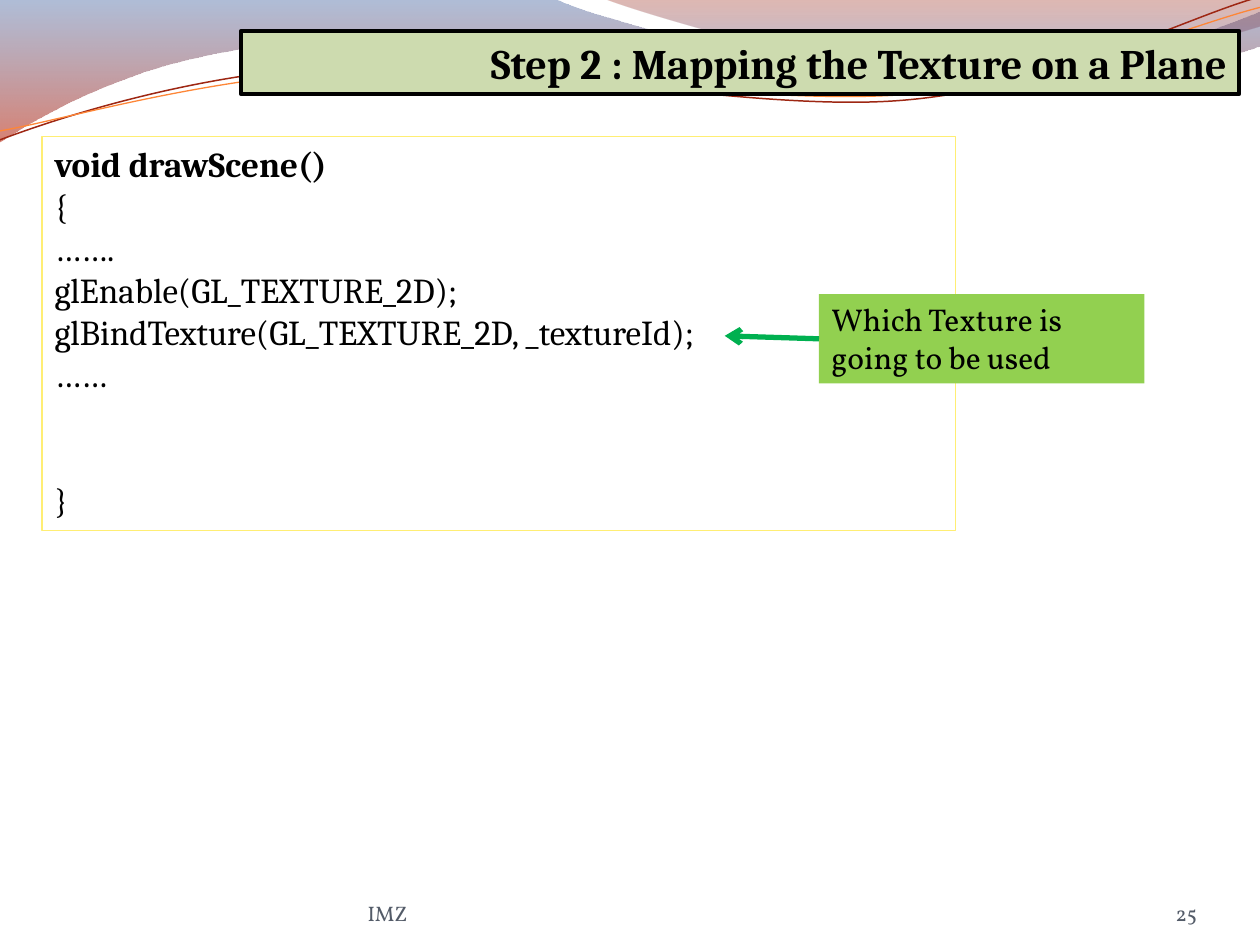
"""Build the slide on mapping a texture onto a plane."""
from dataclasses import dataclass
from typing import Optional

from lxml.etree import SubElement
from pptx import Presentation
from pptx.dml.color import RGBColor
from pptx.enum.shapes import MSO_CONNECTOR, MSO_SHAPE
from pptx.enum.text import MSO_ANCHOR, MSO_AUTO_SIZE, PP_ALIGN
from pptx.oxml.ns import qn
from pptx.util import Cm, Pt

BLACK = RGBColor(0x00, 0x00, 0x00)
SLATE = RGBColor(0x53, 0x5B, 0x68)
SAGE = RGBColor(0xCD, 0xDB, 0xAF)
YELLOW = RGBColor(0xFF, 0xEE, 0x74)
LIME = RGBColor(0x92, 0xD0, 0x50)
GREEN = RGBColor(0x00, 0xB0, 0x50)
NAVY = RGBColor(0x4F, 0x6E, 0xA8)
BLUE = RGBColor(0x56, 0x81, 0xD1)
RED = RGBColor(0xB6, 0x1A, 0x00)
MAROON = RGBColor(0x95, 0x15, 0x00)
RUST = RGBColor(0x9E, 0x27, 0x13)
ORANGE = RGBColor(0xFE, 0x86, 0x37)

HEADING_FONT = "Cambria"
BODY_FONT = "Vollkorn"


@dataclass(frozen=True)
class GradientStop:
    position: float
    color: RGBColor
    opacity: int


@dataclass(frozen=True)
class Wave:
    """A start point, then steps of one point (straight) or three (curve)."""
    start: tuple
    steps: tuple
    gradient: tuple = ()
    stroke: Optional[RGBColor] = None
    stroke_width: float = 0


@dataclass(frozen=True)
class Panel:
    left: float
    top: float
    width: float
    height: float
    lines: tuple
    font: str
    size: int
    fill: Optional[RGBColor] = None
    border: Optional[RGBColor] = None
    border_width: float = 0


@dataclass(frozen=True)
class FooterItem:
    left: float
    width: float
    text: str
    align: PP_ALIGN


WAVES = (
    Wave((0, 0), (
        ((11.18, -0.03),),
        ((12.09, 0.43), (16.87, 1.6), (19.25, 1.6)),
        ((21.67, 1.6), (24.33, 0.66), (25.4, 0.23)),
        ((25.43, 0.91),),
        ((24.97, 1.12), (22.1, 1.93), (18.95, 1.91)),
        ((15.8, 1.91), (9.7, 0.71), (6.53, 0.86)),
        ((3.28, 0.91), (1.17, 2.11), (-0.03, 2.87)),
    ), gradient=(GradientStop(0, NAVY, 45), GradientStop(1, RED, 55))),
    Wave((12.17, -0.03), (
        ((12.93, 0.28), (17.32, 1.57), (19.53, 1.65)),
        ((21.74, 1.75), (24.41, 0.81), (25.4, 0.53)),
        ((25.4, 0),),
    ), gradient=(GradientStop(0, MAROON, 30), GradientStop(0.8, BLUE, 45))),
    Wave((0, 2.82), (
        ((1.22, 2.36), (4.01, 1.45), (7.04, 1.32)),
        ((10.03, 1.19), (15.06, 2.26), (18.11, 2.03)),
        ((21.16, 1.8), (23.83, 0.38), (25.35, -0.05)),
    ), stroke=RUST, stroke_width=0.85),
    Wave((0, 2.64), (
        ((1.19, 2.44), (4.17, 1.55), (7.19, 1.42)),
        ((10.24, 1.3), (15.16, 2.13), (18.21, 1.91)),
        ((21.23, 1.7), (23.9, 0.53), (25.4, 0.15)),
    ), stroke=ORANGE, stroke_width=0.75),
)

TITLE = Panel(4.86, 0.62, 20.12, 1.28, ("Step 2 : Mapping the Texture on a Plane",),
              HEADING_FONT, 24, SAGE, BLACK, 2.25)
CODE = Panel(0.85, 2.75, 18.42, 7.94, (
    "void drawScene()", "{", "…….", "glEnable(GL_TEXTURE_2D);",
    "glBindTexture(GL_TEXTURE_2D, _textureId);", "……", "}",
), HEADING_FONT, 20, border=YELLOW, border_width=0.75)
CALLOUT = Panel(16.51, 5.93, 6.56, 1.8, ("Which Texture is going to be used",),
                BODY_FONT, 18, LIME)
FOOTER = (
    FooterItem(22.01, 2.12, "25", PP_ALIGN.RIGHT),
    FooterItem(7.41, 9.32, "IMZ", PP_ALIGN.LEFT),
)


def bend_curves(outline, steps: tuple) -> None:
    """Turn each three-point step of an outline into one cubic curve."""
    segments = iter(list(outline.element.iter(qn("a:lnTo"))))
    for step in steps:
        first, *others = [next(segments) for _ in step]
        if others:
            curve = first.makeelement(qn("a:cubicBezTo"))
            first.addprevious(curve)
            for segment in (first, *others):
                curve.append(segment[0])
                segment.getparent().remove(segment)


def draw_wave(slide, wave: Wave) -> None:
    """Draw one gradient band or thin curve of the header."""
    points = [(Cm(x), Cm(y)) for step in wave.steps for x, y in step]
    builder = slide.shapes.build_freeform(Cm(wave.start[0]), Cm(wave.start[1]))
    builder.add_line_segments(points, close=bool(wave.gradient))
    band = builder.convert_to_shape()
    bend_curves(band, wave.steps)
    band.shadow.inherit = False
    if wave.gradient:
        band.line.fill.background()
        band.fill.gradient()
        band.fill.gradient_angle = 270
        for stop, setting in zip(band.fill.gradient_stops, wave.gradient):
            stop.position = setting.position
            stop.color.rgb = setting.color
        colors = band.element.spPr.iter(qn("a:srgbClr"))
        for color, setting in zip(colors, wave.gradient):
            SubElement(color, qn("a:alpha"), val=str(setting.opacity * 1000))
    else:
        band.fill.background()
        band.line.color.rgb = wave.stroke
        band.line.width = Pt(wave.stroke_width)


def format_text(paragraph, font: str, size: int, color: RGBColor, bold: bool = False) -> None:
    """Format every run of a paragraph."""
    for run in paragraph.runs:
        run.font.name = font
        run.font.size = Pt(size)
        run.font.color.rgb = color
        run.font.bold = bold


def fill_panel(shape, panel: Panel, align: PP_ALIGN = PP_ALIGN.LEFT, bold: bool = False) -> None:
    """Place a shape and give it the panel's colours and text."""
    shape.left, shape.top = Cm(panel.left), Cm(panel.top)
    shape.width, shape.height = Cm(panel.width), Cm(panel.height)
    if panel.fill is None:
        shape.fill.background()
    else:
        shape.fill.solid()
        shape.fill.fore_color.rgb = panel.fill
    if panel.border is None:
        shape.line.fill.background()
    else:
        shape.line.color.rgb = panel.border
        shape.line.width = Pt(panel.border_width)
    frame = shape.text_frame
    frame.word_wrap = True
    frame.auto_size = MSO_AUTO_SIZE.NONE
    frame.vertical_anchor = MSO_ANCHOR.TOP
    frame.text = "\n".join(panel.lines)
    for paragraph in frame.paragraphs:
        paragraph.alignment = align
        format_text(paragraph, panel.font, panel.size, BLACK, bold)


def add_panel(slide, panel: Panel):
    """Add a rectangle for a panel."""
    rectangle = slide.shapes.add_shape(MSO_SHAPE.RECTANGLE, 0, 0, 0, 0)
    rectangle.shadow.inherit = False
    fill_panel(rectangle, panel)
    return rectangle


def add_pointer(slide, callout) -> None:
    """Point from the callout to the line of code it explains."""
    pointer = slide.shapes.add_connector(
        MSO_CONNECTOR.STRAIGHT, Cm(16.51), Cm(6.83), Cm(14.61), Cm(6.77))
    pointer.begin_connect(callout, 1)
    pointer.line.color.rgb = GREEN
    pointer.line.width = Pt(3)
    SubElement(pointer.line._get_or_add_ln(), qn("a:tailEnd"), type="arrow")
    SubElement(pointer.element.spPr, qn("a:effectLst"))


def add_footer_item(slide, item: FooterItem) -> None:
    """Add one piece of footer text."""
    footer = slide.shapes.add_textbox(Cm(item.left), Cm(17.65), Cm(item.width), Cm(1.02))
    frame = footer.text_frame
    frame.word_wrap = True
    frame.vertical_anchor = MSO_ANCHOR.BOTTOM
    frame.margin_left = frame.margin_right = frame.margin_top = frame.margin_bottom = 0
    frame.text = item.text
    frame.paragraphs[0].alignment = item.align
    format_text(frame.paragraphs[0], BODY_FONT, 12, SLATE)


def main() -> None:
    """Assemble and save the slide."""
    deck = Presentation()
    deck.slide_width, deck.slide_height = Cm(25.4), Cm(19.05)
    slide = deck.slides.add_slide(deck.slide_layouts[5])
    for wave in WAVES:
        draw_wave(slide, wave)
    title = slide.shapes.title
    title.element.getparent().append(title.element)
    fill_panel(title, TITLE, PP_ALIGN.RIGHT, bold=True)
    code = add_panel(slide, CODE)
    signature, *_, closing_brace = code.text_frame.paragraphs
    format_text(signature, HEADING_FONT, CODE.size, BLACK, bold=True)
    closing_brace.space_before = Pt(48)
    add_pointer(slide, add_panel(slide, CALLOUT))
    for item in FOOTER:
        add_footer_item(slide, item)
    deck.save("out.pptx")


if __name__ == "__main__":
    main()
